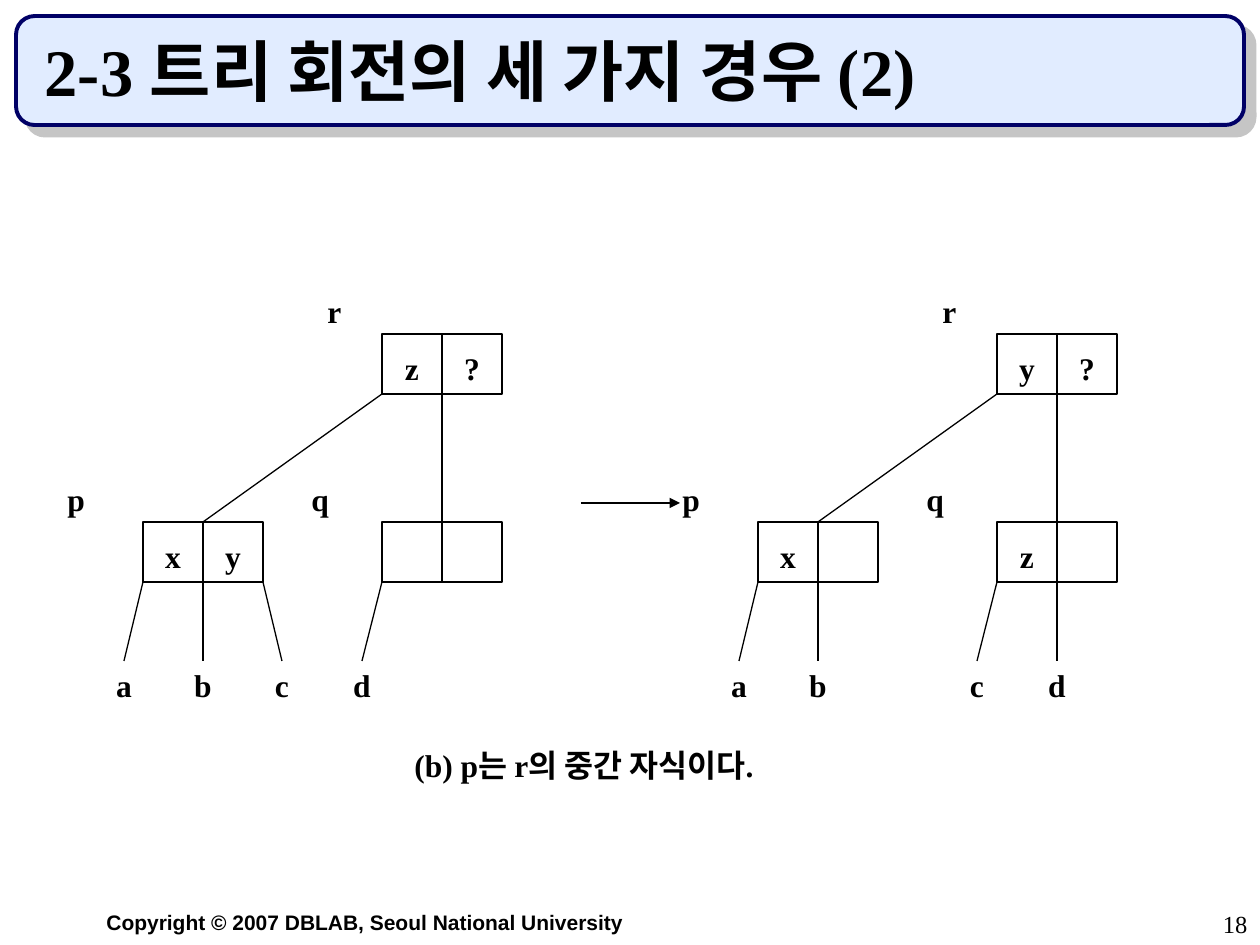
import pptx
import pptx.util
import pptx.dml.color
import pptx.enum.shapes
import pptx.enum.text
import pptx.oxml
import pptx.oxml.ns

RGBColor = pptx.dml.color.RGBColor
BLACK = RGBColor(0x00, 0x00, 0x00)
NAVY = RGBColor(0x00, 0x00, 0x66)
PALE_BLUE = RGBColor(0xE1, 0xEC, 0xFF)
SERIF = "Times New Roman"
ALIGN = pptx.enum.text.PP_ALIGN
ANCHOR = pptx.enum.text.MSO_ANCHOR
SHAPE = pptx.enum.shapes.MSO_SHAPE
SCALE = 914400 / 126  # EMU per px
NS = pptx.oxml.ns.nsdecls("a")

prs = pptx.Presentation()
prs.slide_width = round(1260 * SCALE)
prs.slide_height = round(945 * SCALE)
s = prs.slides.add_slide(prs.slide_layouts[5])


def write(sp, text, size=18, bold=True, font=SERIF, align=ALIGN.LEFT,
          anchor=ANCHOR.TOP, wrap=True):
    tf = sp.text_frame
    tf.text = text
    tf.word_wrap = wrap
    tf.auto_size = pptx.enum.text.MSO_AUTO_SIZE.NONE
    tf.vertical_anchor = anchor
    if anchor == ANCHOR.MIDDLE:  # labels sit slightly below the centre
        tf.margin_top = round(14 * SCALE)
    p = tf.paragraphs[0]
    p.alignment = align
    f = p.runs[0].font
    f.name, f.size, f.bold = font, pptx.util.Pt(size), bold
    f.color.rgb = BLACK


def add_line(x1, y1, x2, y2):
    ln = s.shapes.add_connector(pptx.enum.shapes.MSO_CONNECTOR.STRAIGHT,
                                *[round(v * SCALE) for v in (x1, y1, x2, y2)])
    ln.line.color.rgb = BLACK
    ln.line.width = pptx.util.Pt(0.75)
    ln._element.spPr.append(pptx.oxml.parse_xml(f"<a:effectLst {NS}/>"))
    return ln


# Title banner, placed behind the title
sp = s.shapes.add_shape(SHAPE.ROUNDED_RECTANGLE,
                        *[round(v * SCALE) for v in (16, 16, 1228, 109)])
sp.adjustments[0] = 0.17
sp.fill.solid()
sp.fill.fore_color.rgb = PALE_BLUE
sp.line.color.rgb = NAVY
sp.line.width = pptx.util.Pt(2.25)
sp.shadow.inherit = False
sp._element.spPr.find(pptx.oxml.ns.qn("a:effectLst")).append(pptx.oxml.parse_xml(
    f'<a:outerShdw {NS} blurRad="0" dist="107950" dir="2700000" algn="ctr" rotWithShape="0">'
    '<a:srgbClr val="B2B2B2"><a:alpha val="75000"/></a:srgbClr></a:outerShdw>'))
s.shapes._spTree.insert(2, sp._element)

# Title
title = s.shapes.title
title.left, title.top, title.width, title.height = [
    round(v * SCALE) for v in (32, 32, 1187, 84)]
write(title, "2-3 트리 회전의 세 가지 경우 (2)", size=38, anchor=ANCHOR.BOTTOM)

# Trees before and after the rotation
CELL = 60
ROOT_Y, CHILD_Y, LEAF_Y = 334, 522, 661
P_X, Q_X = 143, 382  # left edges of nodes p and q; r stands above q
LEAF_W = 40
trees = [
    # offset, keys of r, p and q, then leaves as (name, branch x, leaf x)
    (0, "z?", "xy", "  ",
     [("a", P_X, 124), ("b", P_X + CELL, 203), ("c", P_X + 2 * CELL, 282),
      ("d", Q_X, 362)]),
    (615, "y?", "x ", "z ",
     [("a", P_X, 124), ("b", P_X + CELL, 203), ("c", Q_X, 362),
      ("d", Q_X + CELL, 442)]),
]
for dx, r_keys, p_keys, q_keys, leaves in trees:
    nodes = [("r", r_keys, Q_X, ROOT_Y, 54), ("p", p_keys, P_X, CHILD_Y, 75),
             ("q", q_keys, Q_X, CHILD_Y, 70)]
    for name, keys, x, y, gap in nodes:
        for i, key in enumerate(keys):
            sp = s.shapes.add_shape(SHAPE.RECTANGLE, *[
                round(v * SCALE) for v in (dx + x + i * CELL, y, CELL, CELL)])
            sp.fill.background()
            sp.line.color.rgb = BLACK
            sp.line.width = pptx.util.Pt(0.75)
            sp.shadow.inherit = False
            if key.strip():
                write(sp, key, align=ALIGN.CENTER, anchor=ANCHOR.MIDDLE, wrap=False)
        tb = s.shapes.add_textbox(*[
            round(v * SCALE) for v in (dx + x - gap - 13, y - 48, 60, 50)])
        write(tb, name)

    # Branches from r to its children
    root_bottom = ROOT_Y + CELL
    add_line(dx + Q_X, root_bottom, dx + P_X + CELL, CHILD_Y)
    add_line(dx + Q_X + CELL, root_bottom, dx + Q_X + CELL, CHILD_Y)

    # Leaves
    for name, branch_x, leaf_x in leaves:
        add_line(dx + branch_x, CHILD_Y + CELL, dx + leaf_x, LEAF_Y)
        tb = s.shapes.add_textbox(*[
            round(v * SCALE) for v in (dx + leaf_x - LEAF_W / 2, LEAF_Y, LEAF_W, LEAF_W)])
        write(tb, name, align=ALIGN.CENTER, anchor=ANCHOR.MIDDLE, wrap=False)

# Arrow between the trees
arrow = add_line(581, 503, 680, 503)
arrow.line._get_or_add_ln().append(
    pptx.oxml.parse_xml(f'<a:tailEnd {NS} type="triangle"/>'))

# Caption, copyright and page number
tb = s.shapes.add_textbox(*[round(v * SCALE) for v in (402, 740, 461, 50)])
write(tb, "(b) p는 r의 중간 자식이다.")
tb = s.shapes.add_textbox(*[round(v * SCALE) for v in (94, 903, 546, 38)])
write(tb, "Copyright © 2007 DBLAB, Seoul National University", size=12, font="Arial")
tb = s.shapes.add_textbox(*[round(v * SCALE) for v in (998, 903, 262, 42)])
write(tb, "18", size=14, bold=False, align=ALIGN.RIGHT)

prs.save("out.pptx")
